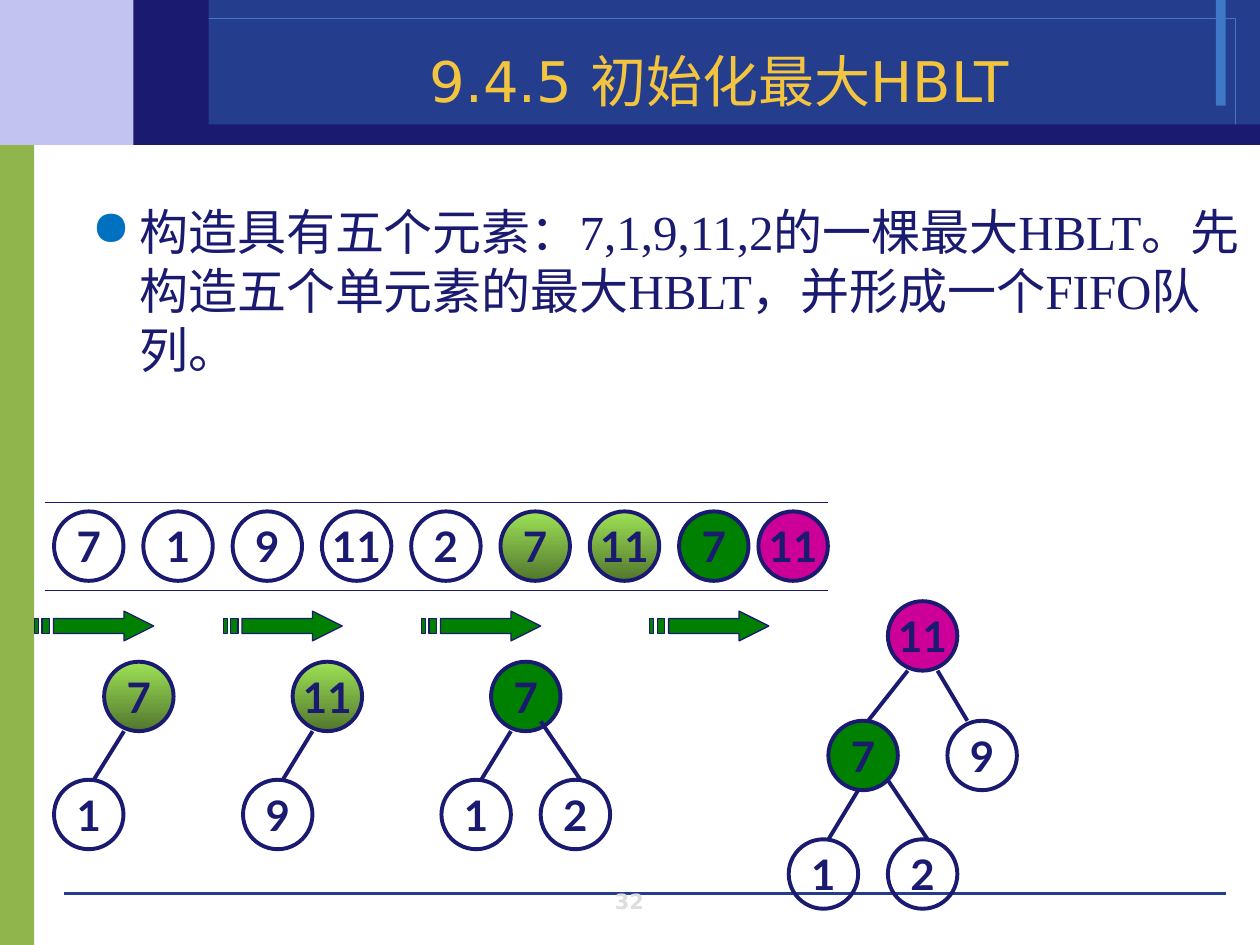
from lxml.etree import SubElement
from pptx import Presentation
from pptx.dml.color import RGBColor
from pptx.enum.shapes import MSO_CONNECTOR, MSO_SHAPE
from pptx.enum.text import MSO_ANCHOR, PP_ALIGN
from pptx.oxml.ns import qn
from pptx.util import Cm, Pt

C = {"navy": "1A1A70", "blue": "243D8C", "sky": "3E78C6", "lilac": "C3C3F1",
     "leaf": "90B54D", "gold": "F3C43F", "grey": "DDDDDD", "bullet": "0070C0",
     "green": "008000", "pink": "CC0099", "lime": "9EE256", "moss": "52762D"}

# All positions are in centimetres.
TITLE = "9.4.5 初始化最大HBLT"
BODY = ("构造具有五个元素：7,1,9,11,2的一棵最大HBLT。"
        "先构造五个单元素的最大HBLT，并形成一个FIFO队列。")
PAGE = "32"

FRAME = [  # left, top, width, height, fill, line
    (0, 2.72, 0.69, 16.35, "leaf", None),
    (0, 0, 3.89, 2.92, "lilac", None),
    (3.89, 0, 21.51, 2.92, "blue", None),
    (24.51, 0, 0.2, 2.13, "sky", None),
    (3.02, 0.38, 21.89, 2.16, None, "sky"),
    (3.3, 2.51, 22.1, 0.41, "navy", None),
    (2.69, 0, 1.52, 2.92, "navy", None),
]

QUEUE = [("7", None), ("1", None), ("9", None), ("11", None), ("2", None),
         ("7", "gradient"), ("11", "gradient"), ("7", "green"), ("11", "pink")]
QUEUE_LEFT, QUEUE_TOP, QUEUE_STEP, QUEUE_LAST = 1.09, 10.31, 1.8, 15.29
RAILS = (11.91, 10.13)
ARROWS = (0.7, 4.5, 8.5, 13.1)
ARROW_TOP = 12.32

# Outlines measured from the arrow's top left corner
ARROW_PARTS = [
    [(1.8, 0), (1.8, 0.15), (0.38, 0.15), (0.38, 0.45), (1.8, 0.45), (1.8, 0.6), (2.4, 0.3)],
    [(0.15, 0.15), (0.15, 0.45), (0.3, 0.45), (0.3, 0.15)],
    [(0, 0.15), (0, 0.45), (0.08, 0.45), (0.08, 0.15)],
]

NODE = 1.4
ROW1, ROW2 = 13.34, 15.72
# Start of an edge within the parent's box, and its end along the child's top
LEFT, RIGHT = (0.4, 1.4, 0.8), (1, 1.2, 0.8)
INNER_LEFT, INNER_RIGHT, OUTER = (0.6, 1.4, 0.8), (1.2, 1.2, 0.8), (1, 1.4, 0.4)
TREES = [  # nodes (label, left, top, fill), edges (parent, child, ends)
    ([("7", 2.1, ROW1, "gradient"), ("1", 1.09, ROW2, None)], [(0, 1, LEFT)]),
    ([("11", 5.9, ROW1, "gradient"), ("9", 4.9, ROW2, None)], [(0, 1, LEFT)]),
    ([("7", 9.9, ROW1, "green"), ("1", 8.9, ROW2, None), ("2", 10.9, ROW2, None)],
     [(0, 1, LEFT), (0, 2, RIGHT)]),
    ([("11", 17.9, 12.12, "pink"), ("7", 16.7, 14.53, "green"), ("9", 19.1, 14.53, None),
      ("1", 15.9, 16.92, None), ("2", 17.9, 16.92, None)],
     [(0, 1, LEFT), (0, 2, OUTER), (1, 3, INNER_LEFT), (1, 4, INNER_RIGHT)]),
]

TITLE_FONT = {"name": "DejaVu Sans", "size": Pt(32)}
BODY_FONT = {"name": "Times New Roman", "size": Pt(28)}
PAGE_FONT = {"name": "DejaVu Sans", "size": Pt(12), "bold": True}
NODE_FONT = {"name": "Lato", "size": Pt(24), "bold": True}


def rgb(name):
    return RGBColor.from_string(C[name])


def write(sp, text, font, color, anchor, align, wrap=True):
    tf = sp.text_frame
    tf.word_wrap = wrap
    tf.vertical_anchor = anchor
    p = tf.paragraphs[0]
    p.alignment = align
    r = p.add_run()
    r.text = text
    for key, value in font.items():
        setattr(r.font, key, value)
    r.font.color.rgb = rgb(color)
    return p


def paint(sp, fill, line, width):
    sp.shadow.inherit = False
    if fill == "gradient":
        sp.fill.gradient()
        sp.fill.gradient_angle = 270
        for stop, name, pos in zip(sp.fill.gradient_stops, ("lime", "moss"), (0, 1)):
            stop.color.rgb = rgb(name)
            stop.position = pos
    elif fill:
        sp.fill.solid()
        sp.fill.fore_color.rgb = rgb(fill)
    else:
        sp.fill.background()
    if line:
        sp.line.color.rgb = rgb(line)
        sp.line.width = Pt(width)
    else:
        sp.line.fill.background()


def add_shape(s, kind, box, fill, line=None, width=0):
    sp = s.shapes.add_shape(kind, *map(Cm, box))
    paint(sp, fill, line, width)
    return sp


def add_line(s, x1, y1, x2, y2, color, width):
    ln = s.shapes.add_connector(MSO_CONNECTOR.STRAIGHT, *map(Cm, (x1, y1, x2, y2)))
    ln.line.color.rgb = rgb(color)
    ln.line.width = Pt(width)
    SubElement(ln._element.spPr, qn("a:effectLst"))


def add_node(s, label, left, top, fill):
    sp = add_shape(s, MSO_SHAPE.OVAL, (left, top, NODE, NODE), fill, "navy", 2.25)
    write(sp, label, NODE_FONT, "navy", MSO_ANCHOR.MIDDLE, PP_ALIGN.CENTER, wrap=False)


def add_arrow(s, left):
    parts = [[(Cm(left + x), Cm(ARROW_TOP + y)) for x, y in part] for part in ARROW_PARTS]
    fb = s.shapes.build_freeform(*parts[0][0])
    fb.add_line_segments(parts[0][1:])
    for part in parts[1:]:
        fb.move_to(*part[0])
        fb.add_line_segments(part[1:])
    paint(fb.convert_to_shape(), "green", "navy", 0.75)


def add_bullet(p):
    pPr = p._p.get_or_add_pPr()
    pPr.set("marL", str(Cm(0.96)))
    pPr.set("indent", str(-Cm(0.96)))
    color = SubElement(pPr, qn("a:buClr"))
    SubElement(color, qn("a:srgbClr")).set("val", C["bullet"])
    SubElement(pPr, qn("a:buChar")).set("char", "●")


def main():
    prs = Presentation()
    prs.slide_width, prs.slide_height = Cm(25.4), Cm(19.05)
    s = prs.slides.add_slide(prs.slide_layouts[6])

    for *box, fill, line in FRAME:
        add_shape(s, MSO_SHAPE.RECTANGLE, box, fill, line)
    add_line(s, 1.3, 18.01, 24.71, 18.01, "blue", 0)

    for box, *fmt in [
        ((9.73, 17.91, 5.92, 0.64), PAGE, PAGE_FONT, "grey", MSO_ANCHOR.BOTTOM, PP_ALIGN.CENTER),
        ((3.61, 0.05, 21.79, 2.36), TITLE, TITLE_FONT, "gold", MSO_ANCHOR.BOTTOM, PP_ALIGN.CENTER),
        ((1.6, 3.94, 23.8, 5.79), BODY, BODY_FONT, "navy", MSO_ANCHOR.TOP, PP_ALIGN.LEFT),
    ]:
        p = write(s.shapes.add_textbox(*map(Cm, box)), *fmt)
    add_bullet(p)

    for y in RAILS:
        add_line(s, 0.9, y, 16.69, y, "navy", 0.75)
    lefts = [QUEUE_LEFT + i * QUEUE_STEP for i in range(len(QUEUE) - 1)] + [QUEUE_LAST]
    for (label, fill), left in zip(QUEUE, lefts):
        add_node(s, label, left, QUEUE_TOP, fill)
    for left in ARROWS:
        add_arrow(s, left)

    for nodes, edges in TREES:
        for node in nodes:
            add_node(s, *node)
        for parent, child, (dx, dy, end) in edges:
            _, px, py, _ = nodes[parent]
            _, cx, cy, _ = nodes[child]
            add_line(s, px + dx, py + dy, cx + end, cy, "navy", 2.25)

    prs.save("out.pptx")


if __name__ == "__main__":
    main()
